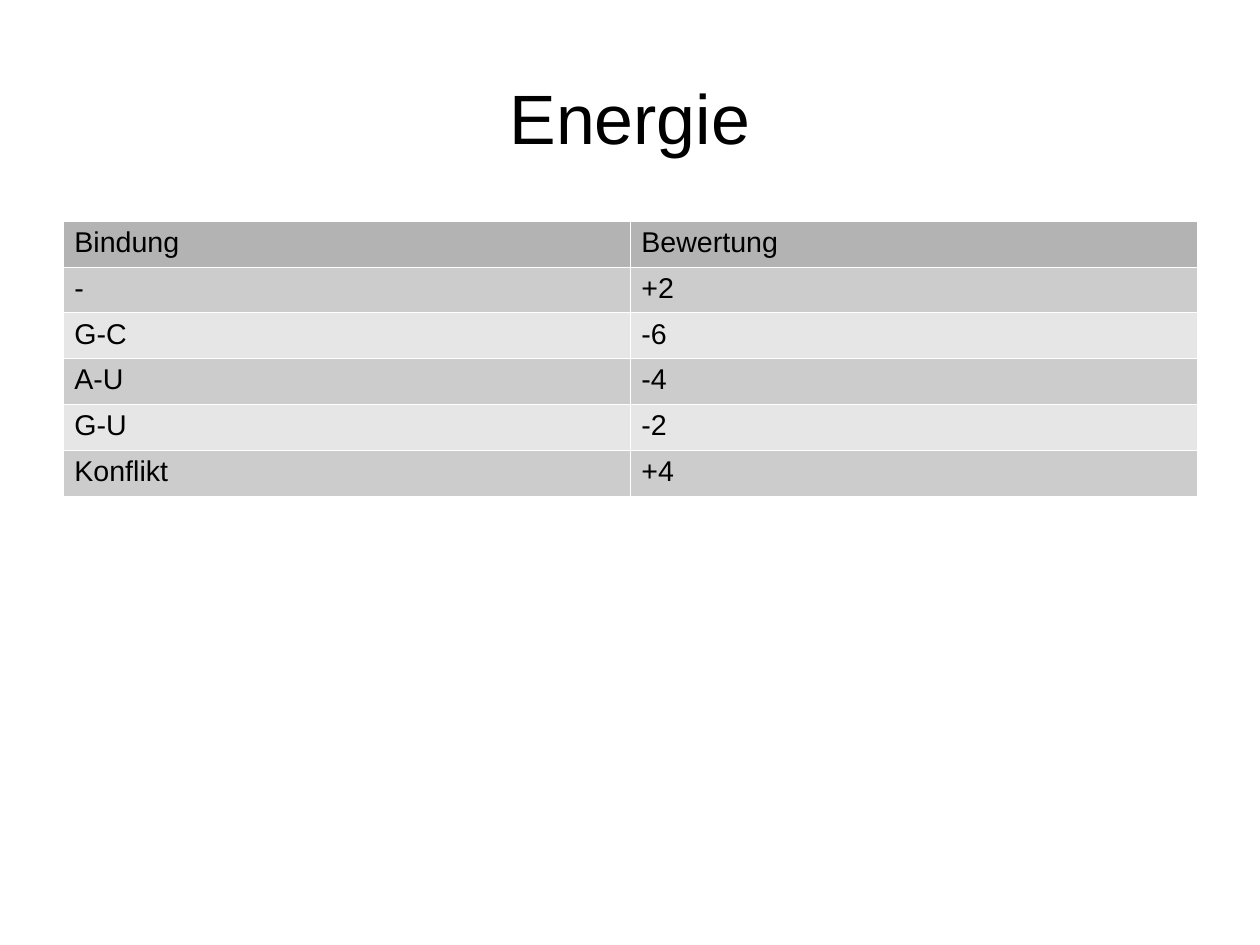
"""Build the slide "Energie" with its table of binding scores."""
from dataclasses import dataclass

from lxml.etree import SubElement
from pptx import Presentation
from pptx.dml.color import RGBColor
from pptx.enum.text import MSO_ANCHOR, PP_ALIGN
from pptx.oxml.ns import qn
from pptx.slide import Slide
from pptx.table import _Cell
from pptx.text.text import TextFrame
from pptx.util import Emu, Pt

EMU_PER_PX = 8000
FONT_NAME = "Arial"
COLORS = {
    "text": "000000",
    "border": "FFFFFF",
    "header": "B3B3B3",
    "odd_row": "CCCCCC",
    "even_row": "E6E6E6",
}
BORDER_WIDTH = Pt(0.06)
ROW_HEIGHT = 42


@dataclass(frozen=True)
class Box:
    left: int
    top: int
    width: int
    height: int

    def to_emu(self) -> tuple[Emu, Emu, Emu, Emu]:
        return px(self.left), px(self.top), px(self.width), px(self.height)


@dataclass(frozen=True)
class Score:
    binding: str
    value: str


HEADER = Score("Bindung", "Bewertung")
SCORES = [
    Score("-", "+2"),
    Score("G-C", "-6"),
    Score("A-U", "-4"),
    Score("G-U", "-2"),
    Score("Konflikt", "+4"),
]
TITLE_BOX = Box(63, 38, 1134, 158)
TABLE_BOX = Box(63, 221, 1134, 263)


def px(length: int) -> Emu:
    return Emu(length * EMU_PER_PX)


def write_text(frame: TextFrame, text: str, *, size: int,
               align: PP_ALIGN = PP_ALIGN.LEFT) -> None:
    paragraph = frame.paragraphs[0]
    paragraph.alignment = align
    run = paragraph.add_run()
    run.text = text
    run.font.name = FONT_NAME
    run.font.size = Pt(size)
    run.font.bold = False
    run.font.color.rgb = RGBColor.from_string(COLORS["text"])


def add_title(slide: Slide, text: str) -> None:
    shape = slide.shapes.add_textbox(*TITLE_BOX.to_emu())
    frame = shape.text_frame
    frame.word_wrap = True
    frame.vertical_anchor = MSO_ANCHOR.MIDDLE
    frame.margin_left = frame.margin_right = 0
    frame.margin_top = frame.margin_bottom = 0
    write_text(frame, text, size=44, align=PP_ALIGN.CENTER)


def add_borders(cell: _Cell) -> None:
    properties = cell._tc.get_or_add_tcPr()
    for side in ("a:lnL", "a:lnR", "a:lnT", "a:lnB"):
        line = SubElement(properties, qn(side), w=str(BORDER_WIDTH))
        fill = SubElement(line, qn("a:solidFill"))
        SubElement(fill, qn("a:srgbClr"), val=COLORS["border"])


def format_cell(cell: _Cell, text: str, color: str) -> None:
    add_borders(cell)
    cell.fill.solid()
    cell.fill.fore_color.rgb = RGBColor.from_string(COLORS[color])
    write_text(cell.text_frame, text, size=18)


def row_color(row_index: int) -> str:
    if row_index == 0:
        return "header"
    return "odd_row" if row_index % 2 else "even_row"


def add_score_table(slide: Slide) -> None:
    rows = [HEADER, *SCORES]
    shape = slide.shapes.add_table(len(rows), 2, *TABLE_BOX.to_emu())
    table = shape.table
    table.horz_banding = False
    for row_index, score in enumerate(rows):
        table.rows[row_index].height = px(ROW_HEIGHT)
        for column_index, text in enumerate((score.binding, score.value)):
            format_cell(table.cell(row_index, column_index), text, row_color(row_index))
    shape.height = px(TABLE_BOX.height)


def main() -> None:
    presentation = Presentation()
    presentation.slide_width = px(1260)
    presentation.slide_height = px(945)
    slide = presentation.slides.add_slide(presentation.slide_layouts[6])
    add_title(slide, "Energie")
    add_score_table(slide)
    presentation.save("out.pptx")


if __name__ == "__main__":
    main()
